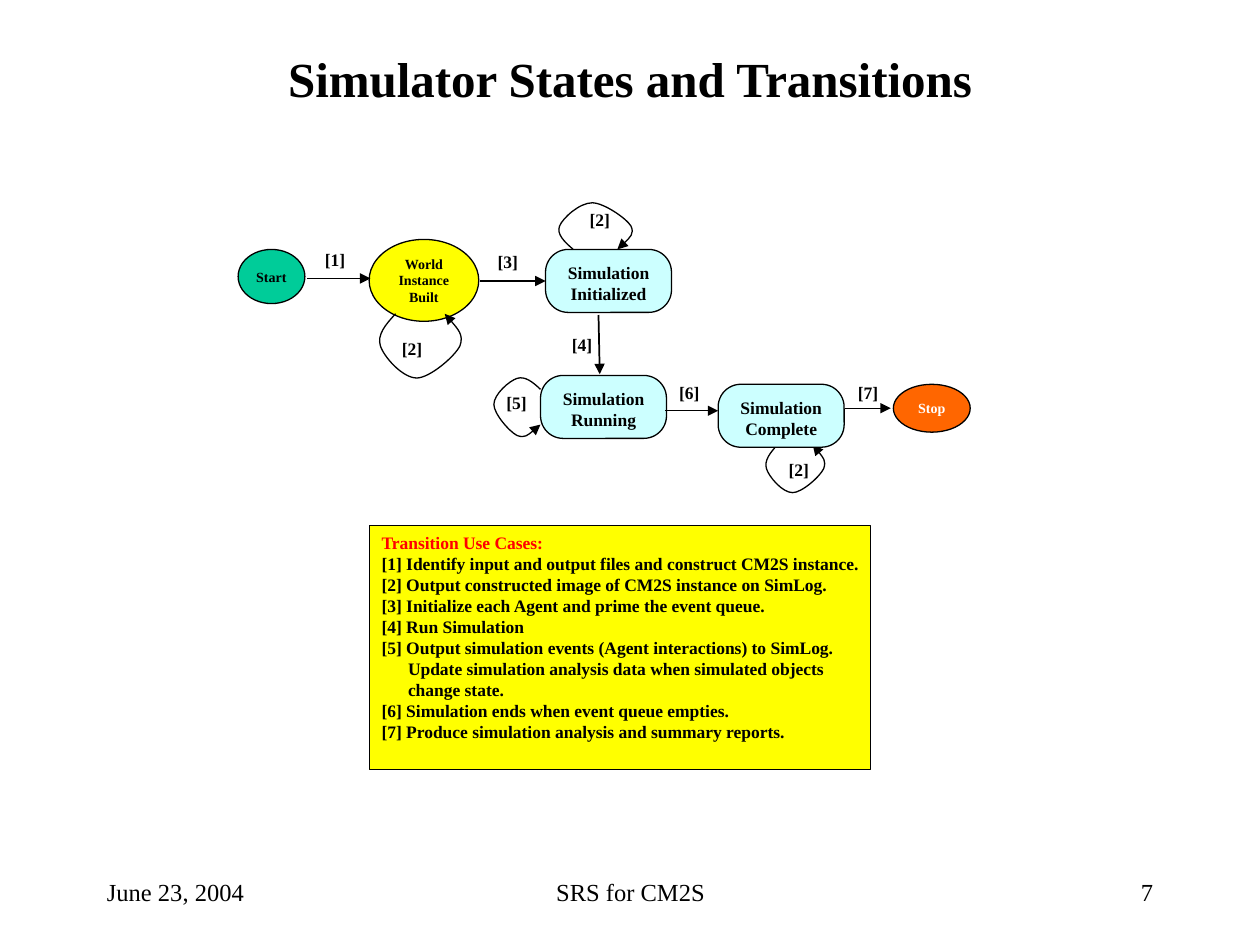
import pptx
import pptx.dml.color
import pptx.enum.shapes
import pptx.enum.text
import pptx.oxml
import pptx.oxml.ns
import pptx.util

Inches = pptx.util.Inches
Pt = pptx.util.Pt
Kind = pptx.enum.shapes.MSO_SHAPE
Align = pptx.enum.text.PP_ALIGN
Anchor = pptx.enum.text.MSO_ANCHOR

FONT = "Times New Roman"
BLACK = "000000"
YELLOW = "FFFF00"
HANG = 0.21
# (along, out) control points of a self-transition
CURVE = list(zip(
    [0, -0.21, -0.38, -0.31, -0.24, 0.14, 0.43, 0.69, 1.2, 1.31, 1.39, 1.2, 1],
    [0, 0.17, 0.33, 0.5, 0.67, 1, 1, 1, 0.67, 0.5, 0.33, 0.17, 0]))
CASES = [
    "[1] Identify input and output files and construct CM2S instance.",
    "[2] Output constructed image of CM2S instance on SimLog.",
    "[3] Initialize each Agent and prime the event queue.",
    "[4] Run Simulation",
    "[5] Output simulation events (Agent interactions) to SimLog.\v"
    "Update simulation analysis data when simulated objects\vchange state.",
    "[6] Simulation ends when event queue empties.",
    "[7] Produce simulation analysis and summary reports.",
]


def color(text):
    """Turn a hex string into a colour."""
    return pptx.dml.color.RGBColor.from_string(text)


def write(shape, lines, size, tint=BLACK, bold=True, align=Align.CENTER,
          anchor=Anchor.MIDDLE, wrap=False):
    """Fill a shape with one paragraph per line."""
    frame = shape.text_frame
    frame.word_wrap = wrap
    frame.vertical_anchor = anchor
    for i, line in enumerate(lines):
        para = frame.paragraphs[0] if i == 0 else frame.add_paragraph()
        para.alignment = align
        for j, part in enumerate(line.split("\v")):
            if j:
                para.add_line_break()
            run = para.add_run()
            run.text = part
            run.font.name = FONT
            run.font.size = Pt(size)
            run.font.bold = bold
            run.font.color.rgb = color(tint)


def place(shape, box):
    """Move and size a shape."""
    shape.left, shape.top, shape.width, shape.height = map(Inches, box)


def label(slide, text, left, top):
    """Add a transition number."""
    box = slide.shapes.add_textbox(*map(Inches, (left, top, 0.36, 0.27)))
    write(box, [text], 10, anchor=Anchor.TOP)


def footer(slide, text, left, width, align):
    """Add a piece of the footer."""
    box = slide.shapes.add_textbox(*map(Inches, (left, 6.83, width, 0.5)))
    write(box, [text], 14, bold=False, align=align, wrap=True)


def block(slide, kind, box, fill):
    """Add an outlined, filled shape."""
    shape = slide.shapes.add_shape(kind, *map(Inches, box))
    shape.shadow.inherit = False
    shape.fill.solid()
    shape.fill.fore_color.rgb = color(fill)
    shape.line.color.rgb = color(BLACK)
    shape.line.width = Pt(0.75)
    return shape


def state(slide, name, left, top):
    """Add a rounded simulation state."""
    shape = block(slide, Kind.ROUNDED_RECTANGLE, (left, top, 1, 0.5), "CCFFFF")
    shape.adjustments[0] = 0.36
    write(shape, ["Simulation", name], 10, anchor=Anchor.TOP, wrap=True)
    return shape


def tip(line, width=0.75):
    """Style a line and put an arrowhead at its end."""
    line.color.rgb = color(BLACK)
    line.width = Pt(width)
    head = pptx.oxml.parse_xml(
        f'<a:tailEnd {pptx.oxml.ns.nsdecls("a")} type="triangle"/>')
    line._get_or_add_ln().append(head)


def arrow(slide, x1, y1, x2, y2, width=0.75):
    """Add a straight transition."""
    line = slide.shapes.add_connector(
        pptx.enum.shapes.MSO_CONNECTOR.STRAIGHT,
        *map(Inches, (x1, y1, x2, y2)))
    tip(line.line, width)
    line._element.spPr.append(pptx.oxml.parse_xml(
        f'<a:effectLst {pptx.oxml.ns.nsdecls("a")}/>'))
    return line


def loop(slide, x, y, span, depth, side=False):
    """Add a curved self-transition, opening sideways if side is set."""
    spots = [(x + depth * out, y + span * along) if side
             else (x + span * along, y + depth * out) for along, out in CURVE]
    spots = [(Inches(a), Inches(b)) for a, b in spots]
    pen = slide.shapes.build_freeform(*spots[0])
    pen.add_line_segments(spots[1:], close=False)
    shape = pen.convert_to_shape()
    shape.shadow.inherit = False
    shape.fill.background()
    tip(shape.line)
    legs = shape._element.xpath(".//a:lnTo")
    for i in range(0, len(legs), 3):
        bend = pptx.oxml.parse_xml(
            f'<a:cubicBezTo {pptx.oxml.ns.nsdecls("a")}/>')
        legs[i].addprevious(bend)
        for leg in legs[i:i + 3]:
            bend.append(leg[0])
            leg.getparent().remove(leg)


def legend(slide):
    """Add the list of transition use cases."""
    box = block(slide, Kind.RECTANGLE, (2.93, 4.17, 3.98, 1.94), YELLOW)
    write(box, ["Transition Use Cases:"] + CASES, 10, align=Align.LEFT,
          anchor=Anchor.TOP)
    paras = box.text_frame.paragraphs
    paras[0].runs[0].font.color.rgb = color("FF0000")
    for para in paras[1:]:
        props = para._p.get_or_add_pPr()
        props.set("marL", str(Inches(HANG)))
        props.set("indent", str(-Inches(HANG)))


def main():
    """Build the slide and save it."""
    deck = pptx.Presentation()
    deck.slide_width, deck.slide_height = Inches(10), Inches(7.5)
    slide = deck.slides.add_slide(deck.slide_layouts[5])
    title = slide.shapes.title
    place(title, (0.75, 0.33, 8.5, 0.58))
    write(title, ["Simulator States and Transitions"], 28, wrap=True)

    for lines, box, fill, tint in [
            (["Start"], (1.89, 1.98, 0.53, 0.43), "00CC99", BLACK),
            (["World", "Instance", "Built"], (2.93, 1.9, 0.87, 0.65),
             YELLOW, BLACK),
            (["Stop"], (7.09, 3.05, 0.61, 0.38), "FF6600", "FFFFFF")]:
        write(block(slide, Kind.OVAL, box, fill), lines, 8, tint)

    loop(slide, 3.14, 2.49, 0.39, 0.51)
    loop(slide, 4.55, 1.98, 0.35, -0.37)
    loop(slide, 4.29, 3.09, 0.28, -0.37, side=True)
    loop(slide, 6.17, 3.53, 0.28, 0.38)

    ready = state(slide, "Initialized", 4.33, 1.98)
    state(slide, "Complete", 5.7, 3.05)
    state(slide, "Running", 4.29, 2.98)

    arrow(slide, 2.44, 2.21, 2.94, 2.21)
    arrow(slide, 3.81, 2.23, 4.33, 2.23).end_connect(ready, 1)
    arrow(slide, 4.75, 2.5, 4.76, 2.97, 1)
    arrow(slide, 5.28, 3.26, 5.7, 3.26)
    arrow(slide, 6.71, 3.24, 7.07, 3.24)

    for text, left, top in [
            ("[1]", 2.48, 1.93), ("[3]", 3.85, 1.94), ("[2]", 3.09, 2.63),
            ("[2]", 4.58, 1.61), ("[4]", 4.44, 2.6), ("[5]", 3.92, 3.06),
            ("[6]", 5.29, 2.98), ("[2]", 6.16, 3.59), ("[7]", 6.71, 2.98)]:
        label(slide, text, left, top)

    legend(slide)
    footer(slide, "June 23, 2004", 0.75, 2.08, Align.LEFT)
    footer(slide, "SRS for CM2S", 3.42, 3.17, Align.CENTER)
    footer(slide, "7", 7.17, 2.08, Align.RIGHT)
    deck.save("out.pptx")


if __name__ == "__main__":
    main()
